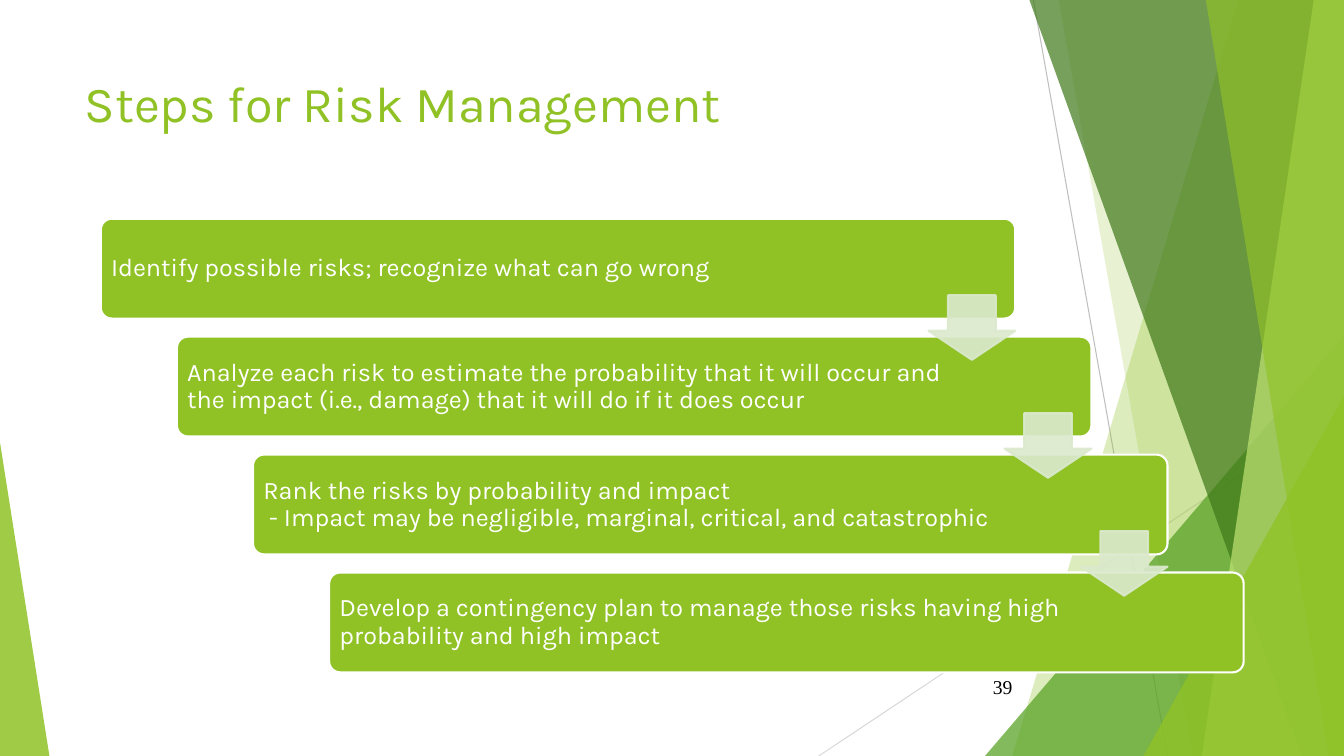
from dataclasses import dataclass

from lxml import etree
from pptx import Presentation, util as u
from pptx.dml.color import RGBColor
from pptx.enum import shapes as s, text as t
from pptx.oxml.ns import qn


@dataclass(frozen=True)
class Theme:
    lime: str = "90C226"
    leaf: str = "54A021"
    pine: str = "3F7819"
    pale: str = "C0E474"
    mist: str = "DBE9CD"
    white: str = "FFFFFF"
    black: str = "000000"
    font: str = "Karla"
    serif: str = "Times New Roman"
    head: int = 36
    body: int = 18
    small: int = 14


def paint(shape, color, alpha=100, edge=None):
    """Fill a shape, with alpha in percent; edge is the line colour."""
    shape.shadow.inherit = False
    fills = [(shape.fill, color)]
    if edge:
        shape.line.width = u.Pt(1.5)
        fills.append((shape.line.fill, edge))
    else:
        shape.line.fill.background()
    for fill, tone in fills:
        fill.solid()
        fill.fore_color.rgb = RGBColor.from_string(tone)
    if alpha < 100:
        for clr in shape._element.spPr.iter(qn("a:srgbClr")):
            etree.SubElement(clr, qn("a:alpha"), val=str(alpha * 1000))


def write(shape, words, size, color, font, align=t.PP_ALIGN.LEFT,
          anchor=t.MSO_ANCHOR.MIDDLE, lines=1.0, pads=(0.1, 0.05, 0.1, 0.05)):
    frame = shape.text_frame
    frame.text = words
    frame.word_wrap = True
    frame.auto_size = t.MSO_AUTO_SIZE.NONE
    frame.vertical_anchor = anchor
    (frame.margin_left, frame.margin_top,
     frame.margin_right, frame.margin_bottom) = map(u.Inches, pads)
    for para in frame.paragraphs:
        para.alignment = align
        para.line_spacing = lines
        for run in para.runs:
            run.font.size = u.Pt(size)
            run.font.name = font
            run.font.color.rgb = RGBColor.from_string(color)


look = Theme()
W, H = 13.33, 7.5
deck = Presentation()
deck.slide_width, deck.slide_height = u.Inches(W), u.Inches(H)
slide = deck.slides.add_slide(deck.slide_layouts[5])
items = slide.shapes

# Backdrop: thin lines, then slanted bands and corner triangles
for x1, y1, x2, y2, tone in [(10.25, 0, 11.58, H, "BFBFBF"),
                             (W, 4.03, 8.12, H, "D9D9D9")]:
    rule = items.add_connector(s.MSO_CONNECTOR.STRAIGHT,
                               *map(u.Inches, (x1, y1, x2, y2)))
    rule.line.width = u.Pt(0.75)
    rule.line.color.rgb = RGBColor.from_string(tone)
    etree.SubElement(rule._element.spPr, qn("a:effectLst"))

# Bands: (top left x, bottom left x, colour, alpha)
# Corners: (left, width, height, apex, colour, alpha)
backdrop = [
    (12.28, 10.04, look.lime, 30),
    (10.5, 11.83, look.lime, 20),
    (9.77, 3.56, 4.17, 1, look.leaf, 72),
    (10.21, 12.91, look.pine, 70),
    (13.03, 11.92, look.pale, 70),
    (11.96, 13.18, look.lime, 65),
    (11.34, 1.99, 3.57, 1, look.lime, 80),
    (0, 0.49, 3.11, 0, look.lime, 85),
]
for *place, tone, alpha in backdrop:
    if len(place) == 2:
        top, low = place
        pen = items.build_freeform(u.Inches(top), 0, scale=1.0)
        pen.add_line_segments([(u.Inches(x), u.Inches(y)) for x, y in
                               ((W, 0), (W, H), (low, H))], close=True)
        part = pen.convert_to_shape()
    else:
        left, wide, high, apex = place
        part = items.add_shape(s.MSO_SHAPE.ISOSCELES_TRIANGLE,
                               *map(u.Inches, (left, H - high, wide, high)))
        part.adjustments[0] = apex
    paint(part, tone, alpha)

page = items.add_textbox(*map(u.Inches, (9.39, 6.61, 0.75, 0.4)))
write(page, "39", look.small, look.black, look.serif, align=t.PP_ALIGN.RIGHT)

title = items.title
title.left, title.top, title.width, title.height = map(
    u.Inches, (0.74, 0.67, 9.4, 1.44))
write(title, "Steps for Risk Management", look.head, look.lime, look.font,
      anchor=t.MSO_ANCHOR.TOP)

# Staircase: each step moves one column right and one row down
COL, ROW = 0.755, 1.17
LEFT, TOP, WIDE, HIGH = 1, 2.17, 9.07, 0.99
steps = [
    "Identify possible risks; recognize what can go wrong",
    "Analyze each risk to estimate the probability that it will occur and "
    "the impact (i.e., damage) that it will do if it does occur",
    "Rank the risks by probability and impact\v"
    " - Impact may be negligible, marginal, critical, and catastrophic",
    "Develop a contingency plan to manage those risks having high "
    "probability and high impact",
]
for i, step in enumerate(steps):
    box = items.add_shape(
        s.MSO_SHAPE.ROUNDED_RECTANGLE,
        *map(u.Inches, (LEFT + i * COL, TOP + i * ROW, WIDE, HIGH)))
    box.adjustments[0] = 0.11
    paint(box, look.lime, edge=look.white)
    write(box, step, look.body, look.white, look.font, lines=0.9,
          pads=(0.07, 0.07, 1.28, 0.07))

for i in range(len(steps) - 1):
    arrow = items.add_shape(
        s.MSO_SHAPE.DOWN_ARROW,
        *map(u.Inches, (9.21 + i * COL, 2.93 + i * ROW, 0.86, 0.64)))
    arrow.adjustments[0], arrow.adjustments[1] = 0.55, 0.45
    paint(arrow, look.mist, 90, edge=look.mist)

deck.save("out.pptx")
